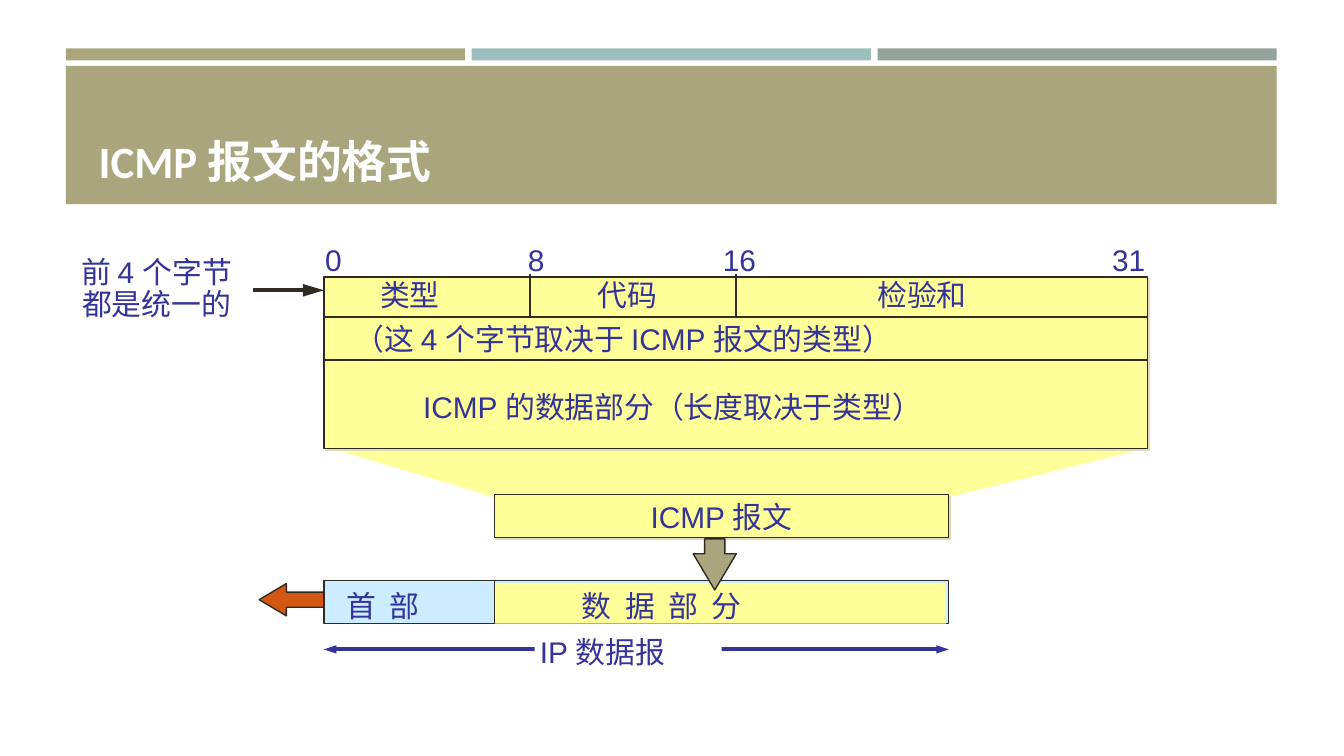
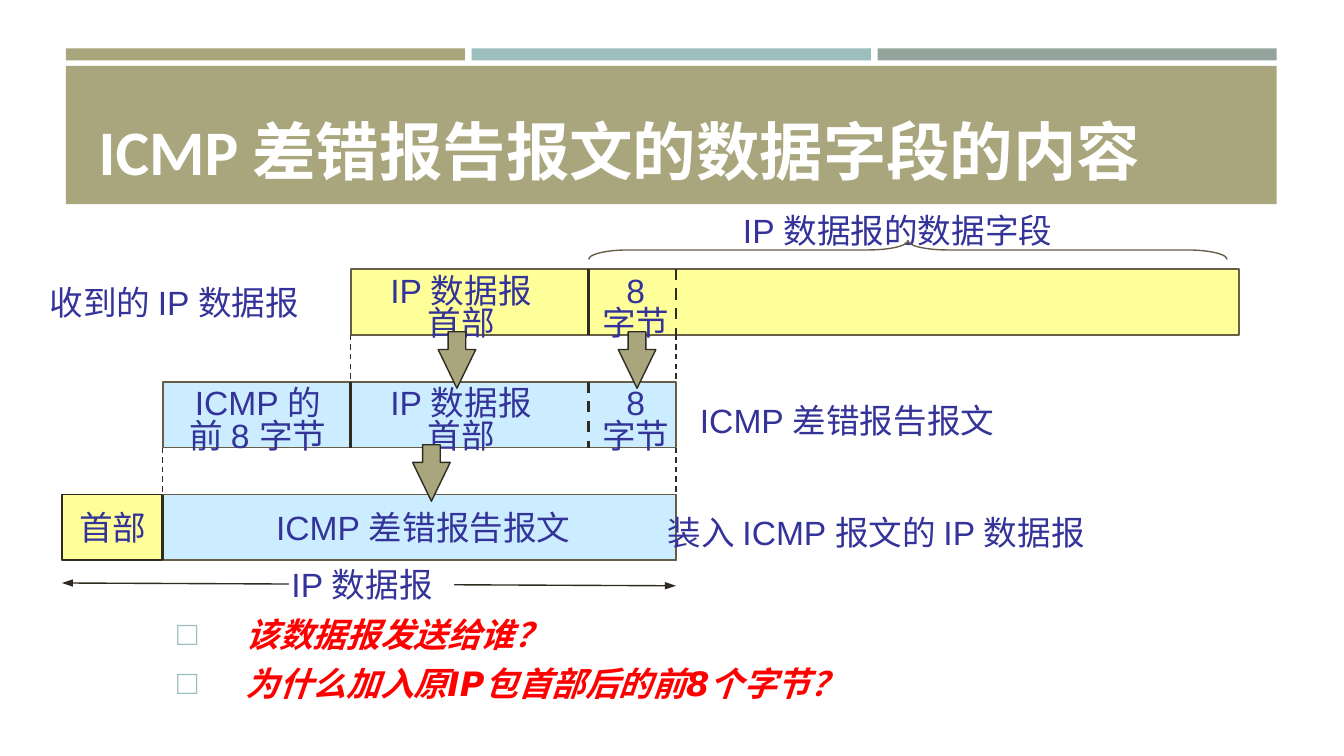
from dataclasses import dataclass

from lxml.etree import SubElement
from pptx import Presentation
from pptx.dml.color import RGBColor
from pptx.enum.dml import MSO_LINE_DASH_STYLE as Dash
from pptx.enum.shapes import MSO_CONNECTOR_TYPE as Connector, MSO_SHAPE as Shape
from pptx.enum.text import MSO_ANCHOR as Anchor, MSO_AUTO_SIZE as AutoSize, PP_ALIGN as Align
from pptx.oxml.ns import qn
from pptx.util import Inches, Pt

COLORS = {
    "olive": "A9A57C", "teal": "9CBEBD", "gray": "95A39D", "white": "FFFFFF",
    "ink": "2F2B20", "edge": "675E47", "text": "333399", "yellow": "FFFF99",
    "blue": "CCECFF", "orange": "D25814", "red": "FF0000", "shadow": "DFDCB7",
}
WIDTH = 10
HEIGHT = WIDTH * 9 / 16


@dataclass
class Grid:
    """A box in inches, divided into equal columns and rows."""
    left: float
    top: float
    width: float
    height: float
    columns: float
    rows: float

    def point(self, column, row):
        """Return the position of a grid crossing."""
        return (Inches(self.left + self.width * column / self.columns),
                Inches(self.top + self.height * row / self.rows))

    def box(self, column, row, columns, rows):
        """Return left, top, width and height of a block of cells."""
        left, top = self.point(column, row)
        right, bottom = self.point(column + columns, row + rows)
        return left, top, right - left, bottom - top


def color(name):
    """Return the named colour."""
    return RGBColor.from_string(COLORS[name])


def write(frame, text, size=16, font="Arial", ink="text", bold=False, italic=False,
          align=Align.LEFT, anchor=Anchor.TOP, spacing=None, before=None, wrap=False,
          grow=False, tracking=None):
    """Fill a text frame, one paragraph for each line."""
    frame.word_wrap = wrap
    frame.auto_size = AutoSize.SHAPE_TO_FIT_TEXT if grow else AutoSize.NONE
    frame.vertical_anchor = anchor
    for index, line in enumerate(text.split("\n")):
        paragraph = frame.add_paragraph() if index else frame.paragraphs[0]
        paragraph.alignment = align
        if spacing:
            paragraph.line_spacing = spacing
        if before:
            paragraph.space_before = Pt(before)
        run = paragraph.add_run()
        run.text = line
        run.font.name, run.font.size = font, Pt(size)
        run.font.bold, run.font.italic = bold, italic
        run.font.color.rgb = color(ink)
        if tracking:
            run.font._element.set("spc", str(round(tracking * 100)))


def label(slide, box, text, **form):
    """Add a text box that grows with its text."""
    write(slide.shapes.add_textbox(*box).text_frame, text, grow=True, **form)


def paint(shape, fill=None, line=None, weight=0.75):
    """Set fill and outline and remove the shadow."""
    shape.shadow.inherit = False
    if fill:
        shape.fill.solid()
        shape.fill.fore_color.rgb = color(fill)
    else:
        shape.fill.background()
    if line:
        shape.line.color.rgb = color(line)
        shape.line.width = Pt(weight)
    else:
        shape.line.fill.background()
    return shape


def add_shape(slide, box, kind=Shape.RECTANGLE, adjust=(), turned=False, **style):
    """Add a painted shape; a turned one fills its box after a quarter turn."""
    left, top, width, height = box
    if turned:
        left, top = left + (width - height) // 2, top + (height - width) // 2
        width, height = height, width
    shape = slide.shapes.add_shape(kind, left, top, width, height)
    shape.rotation = 90 if turned else 0
    for index, value in enumerate(adjust):
        shape.adjustments[index] = value
    return paint(shape, **style)


def add_block_arrow(slide, box, head, fill="olive", turned=False):
    """Add an outlined block arrow."""
    add_shape(slide, box, Shape.DOWN_ARROW, (0.47, head), turned, fill=fill, line="ink")


def cast_shadow(shape):
    """Give a shape a small hard shadow down to the right."""
    effects = shape.element.spPr.find(qn("a:effectLst"))
    shadow = SubElement(effects, qn("a:outerShdw"), dist=str(Pt(1.4)), dir="2700000")
    SubElement(shadow, qn("a:srgbClr"), val=COLORS["shadow"])


def add_line(slide, start, end, ink="ink", weight=0.75, dashed=False, ends=(),
             tip=("sm", "med")):
    """Add a straight line with optional dashes and arrowheads of a given tip size."""
    connector = slide.shapes.add_connector(Connector.STRAIGHT, *start, *end)
    connector.line.color.rgb = color(ink)
    connector.line.width = Pt(weight)
    if dashed:
        connector.line.dash_style = Dash.DASH
    properties = connector.element.spPr
    for name in ends:
        SubElement(properties.find(qn("a:ln")), qn(f"a:{name}End"),
                   type="triangle", w=tip[0], len=tip[1])
    SubElement(properties, qn("a:effectLst"))


def add_titled_slide(presentation, title, size):
    """Add a slide with the three bars, the title band and its title."""
    slide = presentation.slides.add_slide(presentation.slide_layouts[5])
    for index, fill in enumerate(("olive", "teal", "gray")):
        bar = Grid(0.49 + index * 3.02, 0.36, 2.97, 0.09, 1, 1)
        add_shape(slide, bar.box(0, 0, 1, 1), fill=fill)
    band = Grid(0.49, 0.49, 9.01, 1.03, 1, 1)
    add_shape(slide, band.box(0, 0, 1, 1), fill="olive")
    placeholder = slide.shapes.title
    slide.shapes.element.append(placeholder.element)
    (placeholder.left, placeholder.top,
     placeholder.width, placeholder.height) = band.box(0.016, 0.07, 0.97, 0.86)
    write(placeholder.text_frame, title, size=size, font="Calibri", ink="white",
          bold=True, anchor=Anchor.BOTTOM, wrap=True)
    return slide


def draw_encapsulation(slide, grid):
    """Draw the ICMP message becoming the data part of an IP datagram."""
    add_block_arrow(slide, grid.box(-1.14, 2.07, 1.21, 0.75), 0.84, "orange", True)
    add_shape(slide, grid.box(0, 2, 11, 1), fill="blue", line="ink")
    add_shape(slide, grid.box(3, 2.06, 7.95, 0.94), fill="yellow")
    funnel = slide.shapes.build_freeform(*grid.point(0.07, -1.1))
    corners = ((3, 0.06), (11, 0.06), (14.6, -1.12))
    funnel.add_line_segments([grid.point(*corner) for corner in corners], close=True)
    paint(funnel.convert_to_shape(), fill="yellow")
    message = add_shape(slide, grid.box(3, 0, 8, 1), fill="yellow", line="ink")
    cast_shadow(message)
    write(message.text_frame, "ICMP 报文", align=Align.CENTER, anchor=Anchor.MIDDLE)
    add_line(slide, grid.point(3, 2), grid.point(3, 3))
    label(slide, grid.box(0.17, 2, 2.06, 1.16), "首 部", tracking=1.8)
    label(slide, grid.box(4.31, 2, 4.14, 1.16), "数 据 部 分", tracking=1.8)
    add_block_arrow(slide, grid.box(6.5, 1.03, 0.76, 1.19), 0.84)
    add_line(slide, grid.point(0, 3.6), grid.point(11, 3.6), "text", 2.25, ends=("head", "tail"))
    add_shape(slide, grid.box(3.71, 3.19, 3.29, 0.72), fill="white")
    label(slide, grid.box(3.57, 3.09, 2.82, 1.16), "IP 数据报")


def draw_message_format(slide, grid):
    """Draw the message fields on a grid with one column for each bit."""
    cast_shadow(add_shape(slide, grid.box(0, 0, 32, 64), fill="yellow", line="ink"))
    for row in (15, 31):
        add_line(slide, grid.point(0, row), grid.point(32, row))
    for bit in (8, 16):
        add_line(slide, grid.point(bit, 15), grid.point(bit, -1))
    texts = (
        ("0", -0.47, -15.5, 1.67),
        ("8", 7.41, -15.5, 1.67),
        ("16", 14.98, -15.5, 2.35),
        ("31", 30.1, -15.5, 2.35),
        ("类型", 1.67, -2.5, 3.4),
        ("代码", 10.13, -2.5, 3.4),
        ("检验和", 20.98, -2.5, 4.54),
        ("（这 4 个字节取决于 ICMP 报文的类型）", 0.68, 14, 23.7),
        ("ICMP 的数据部分（长度取决于类型）", 3.34, 39, 20.7),
    )
    for text, column, row, width in texts:
        label(slide, grid.box(column, row, width, 18.5), text)
    label(slide, grid.box(-10.39, -9.5, 7.78, 29), "前 4 个字节\n都是统一的",
          align=Align.CENTER, spacing=0.9)
    add_line(slide, grid.point(-2.77, 5), grid.point(0, 5), weight=2.25, ends=("tail",),
             tip=("med", "lg"))


ICMP_START, IP_START, BYTES_START, BYTES_END, DATA_END = 7.5, 21.5, 39.2, 45.7, 87.6
CENTERED = {"size": 18, "align": Align.CENTER, "spacing": 0.8}


def draw_bar(slide, grid, start, end, fill, line="edge"):
    """Draw one bar of the diagram between two columns."""
    add_shape(slide, grid.box(start, 0, end - start, 7), fill=fill, line=line, weight=1)


def draw_divider(slide, grid, column, dashed=False):
    """Draw a divider across a bar."""
    add_line(slide, grid.point(column, 0), grid.point(column, 7), weight=1.5, dashed=dashed)


def draw_copied_part(slide, grid):
    """Write the names of the header and the 8 bytes that are copied."""
    label(slide, grid.box(23.1, 0.2, 13.2, 8.3), "IP 数据报\n首部", **CENTERED)
    label(slide, grid.box(BYTES_START, 0.2, 7, 8.3), "8\n字节", **CENTERED)


def draw_guides(slide, grid, start):
    """Draw dashed guides from a bar down to the next one."""
    for column in (start, BYTES_END):
        add_line(slide, grid.point(column, 7), grid.point(column, 12), dashed=True)


def draw_received(slide, grid):
    """Draw the received IP datagram."""
    draw_bar(slide, grid, IP_START, DATA_END, "yellow")
    draw_divider(slide, grid, BYTES_START)
    draw_divider(slide, grid, BYTES_END, dashed=True)
    draw_copied_part(slide, grid)
    draw_guides(slide, grid, IP_START)
    label(slide, grid.box(-1.9, 0.7, 22.5, 5.7), "收到的 IP 数据报", size=18)
    label(slide, grid.box(49.7, -7, 25.7, 5.7), "IP 数据报的数据字段", size=18)
    add_shape(slide, grid.box(BYTES_START, -3, 47.5, 2), Shape.LEFT_BRACE, (2.1, 0.5),
              True, line="edge")
    for column in (28, 41.4):
        add_block_arrow(slide, grid.box(column, 6.7, 2.8, 6), 1.03)


def draw_error_message(slide, grid):
    """Draw the ICMP error message."""
    draw_bar(slide, grid, ICMP_START, BYTES_END, "blue")
    draw_divider(slide, grid, IP_START)
    draw_divider(slide, grid, BYTES_START, dashed=True)
    label(slide, grid.box(7.6, 0.2, 14, 8.3), "ICMP 的\n前 8 字节", **CENTERED)
    draw_copied_part(slide, grid)
    draw_guides(slide, grid, ICMP_START)
    label(slide, grid.box(46.5, 1.2, 24.6, 5.7), "ICMP 差错报告报文", size=18)
    add_block_arrow(slide, grid.box(26.1, 6.7, 2.8, 6), 1.03)


def draw_sent(slide, grid):
    """Draw the IP datagram that carries the ICMP message."""
    draw_bar(slide, grid, 0, BYTES_END, "yellow", "ink")
    draw_bar(slide, grid, ICMP_START, BYTES_END, "blue")
    draw_divider(slide, grid, ICMP_START)
    label(slide, grid.box(0.3, 1.4, 7, 4.9), "首部", **CENTERED)
    label(slide, grid.box(14.6, 1.4, 24.6, 4.9), "ICMP 差错报告报文", **CENTERED)
    label(slide, grid.box(44.1, 1.1, 36.9, 5.7), "装入 ICMP 报文的 IP 数据报", size=18)
    add_line(slide, grid.point(0, 9.4), grid.point(BYTES_END, 9.7), ends=("head", "tail"))
    add_shape(slide, grid.box(16.9, 7.7, 12.3, 3.7), fill="white")
    label(slide, grid.box(16.1, 6.7, 13.2, 5.7), "IP 数据报", size=18)


def draw_questions(slide, grid):
    """Write the bulleted questions."""
    frame = slide.shapes.add_textbox(*grid.box(0, 0, 1, 1)).text_frame
    write(frame, "该数据报发送给谁？\n为什么加入原IP包首部后的前8个字节？", size=18,
          font="DejaVu Sans", ink="red", bold=True, italic=True, align=Align.JUSTIFY,
          before=4.5, wrap=True)
    for paragraph in frame.paragraphs:
        properties = paragraph._p.get_or_add_pPr()
        properties.set("marL", str(Inches(0.51)))
        properties.set("indent", str(-Inches(0.51)))
        bullet_color = SubElement(properties, qn("a:buClr"))
        SubElement(bullet_color, qn("a:srgbClr"), val=COLORS["teal"])
        SubElement(properties, qn("a:buFont"), typeface="Arial")
        SubElement(properties, qn("a:buChar"), char="□")


def main():
    """Build both slides and save them."""
    presentation = Presentation()
    presentation.slide_width, presentation.slide_height = Inches(WIDTH), Inches(HEIGHT)

    slide = add_titled_slide(presentation, "ICMP 报文的格式", 24)
    draw_encapsulation(slide, Grid(2.41, 3.68, 4.65, 0.96, 11, 3))
    draw_message_format(slide, Grid(2.41, 2.06, 6.13, 1.28, 32, 64))

    slide = add_titled_slide(presentation, "ICMP 差错报告报文的数据字段的内容", 34)
    for step, draw in ((2, draw_sent), (1, draw_error_message), (0, draw_received)):
        draw(slide, Grid(0.46, 2 + step * 0.84, 8.8, 0.49, 88, 7))
    draw_questions(slide, Grid(1.22, 4.52, 7.88, 0.77, 1, 1))

    presentation.save("out.pptx")


if __name__ == "__main__":
    main()
